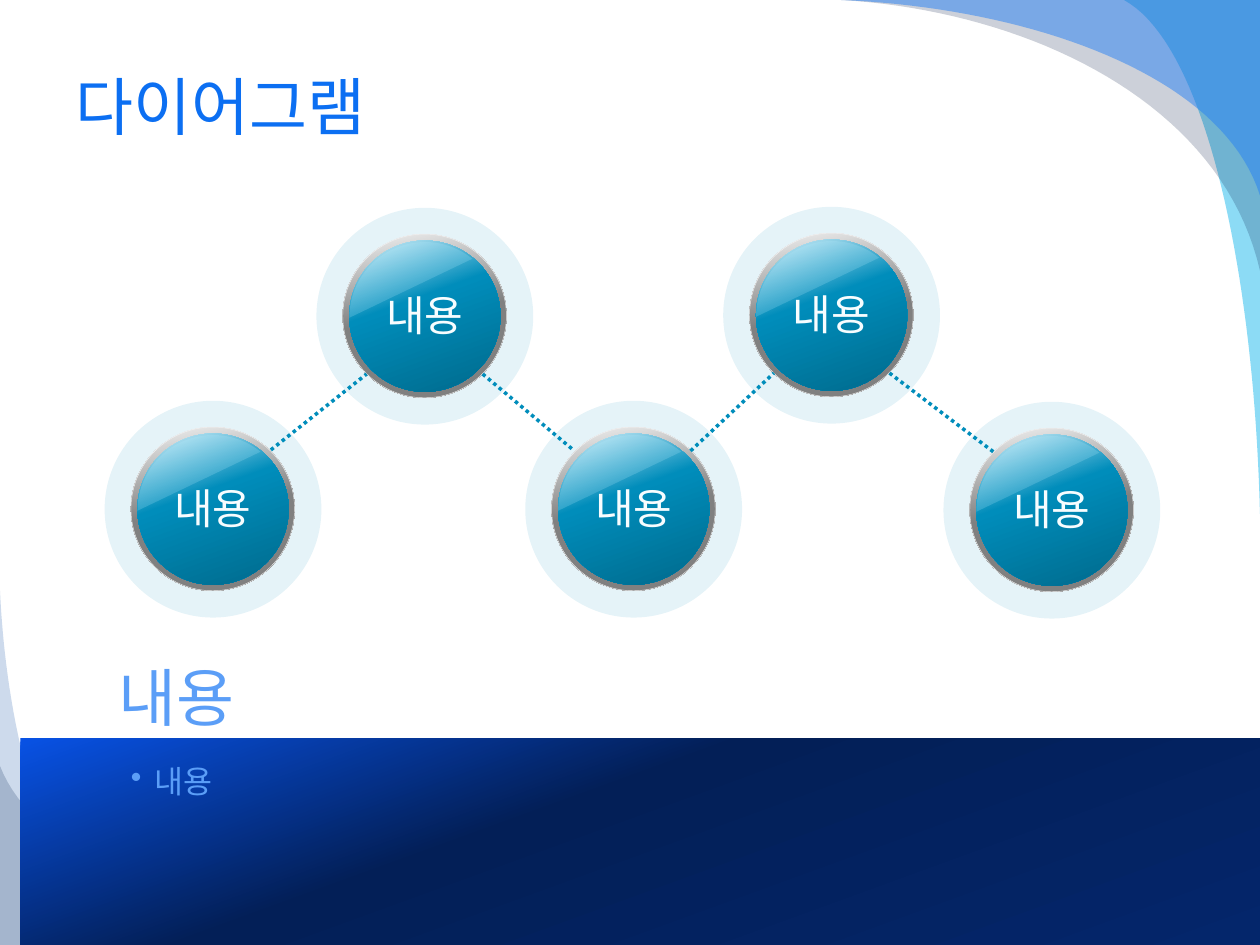
import dataclasses

import pptx
import pptx.dml.color
import pptx.enum.dml
import pptx.enum.shapes
import pptx.enum.text
import pptx.oxml.ns
import pptx.util
import copy
import lxml.etree

Cm = pptx.util.Cm
Preset = pptx.enum.shapes.MSO_SHAPE
Anchor = pptx.enum.text.MSO_ANCHOR
Align = pptx.enum.text.PP_ALIGN
Fit = pptx.enum.text.MSO_AUTO_SIZE
qn = pptx.oxml.ns.qn


@dataclasses.dataclass(frozen=True)
class Theme:
    font: str = "Roboto"
    title_size: int = 36
    label_size: int = 24
    body_size: int = 18
    title: str = "0C6FF2"
    body: str = "5B9EF7"
    label: str = "F7FDFF"
    accent: str = "008DBB"
    gloss: str = "BEEFFF"
    rim: str = "F2F2F2"
    navy: str = "021741"
    cyan: str = "00B1E9"
    azure: str = "247FF4"
    cobalt: str = "084AA1"
    ring_stops: tuple = ((0, "F2F2F2"), (0.5, "808080"), (1, "808080"))
    disc_stops: tuple = ((0, "DFF7FF"), (0.4, "008DBB"), (1, "006A8C"))
    band_stops: tuple = ((0, "0852E5"), (0.4, "031F57"), (1, "04266B"))


def rgb(code):
    return pptx.dml.color.RGBColor.from_string(code)


def assign(target, values):
    for name, value in values.items():
        setattr(target, name, value)


def bezier(start, first, second, end, steps=40):
    for step in range(steps + 1):
        t = step / steps
        weights = ((1 - t) ** 3, 3 * t * (1 - t) ** 2, 3 * t * t * (1 - t), t ** 3)
        yield tuple(sum(w * p[axis] for w, p in zip(weights, (start, first, second, end)))
                    for axis in (0, 1))


class SlideBuilder:
    def __init__(self, page, theme):
        self.page = page
        self.theme = theme

    def paint(self, shape, color, opacity=100):
        shape.shadow.inherit = False
        shape.line.fill.background()
        shape.fill.solid()
        shape.fill.fore_color.rgb = rgb(color)
        if opacity < 100:
            tint = shape._element.spPr.find(qn("a:solidFill")).find(qn("a:srgbClr"))
            lxml.etree.SubElement(tint, qn("a:alpha"), val=str(opacity * 1000))

    def shade(self, shape, stops, angle):
        shape.shadow.inherit = False
        shape.line.fill.background()
        shape.fill.gradient()
        shape.fill.gradient_angle = 360 - angle
        stop_list = shape._element.spPr.find(qn("a:gradFill")).find(qn("a:gsLst"))
        stop_list.append(copy.deepcopy(stop_list[0]))
        for stop, (position, color) in zip(shape.fill.gradient_stops, stops):
            stop.position = position
            stop.color.rgb = rgb(color)

    def preset(self, kind, left, top, width, height):
        return self.page.shapes.add_shape(kind, Cm(left), Cm(top), Cm(width), Cm(height))

    def swoosh(self, left, top, width, height, color, opacity,
               rotation=0, mirror_x=False, mirror_y=False):
        outline = [(0, 0), (1, 0), *bezier((1, 1), (0.91, 0.38), (0.45, 0.04), (0, 0))]
        points = [(Cm(left + width * (1 - x if mirror_x else x)),
                   Cm(top + height * (1 - y if mirror_y else y))) for x, y in outline]
        builder = self.page.shapes.build_freeform(*points[0])
        builder.add_line_segments(points[1:], close=True)
        shape = builder.convert_to_shape()
        shape.rotation = rotation
        self.paint(shape, color, opacity)

    def band(self, left, top, width, height):
        shape = self.preset(Preset.RECTANGLE, left, top, width, height)
        self.shade(shape, self.theme.band_stops, 70)

    def text(self, content, left, top, width, height, size, color,
             frame_format=None, align=None, bullet_indent=None):
        box = self.page.shapes.add_textbox(Cm(left), Cm(top), Cm(width), Cm(height))
        assign(box.text_frame, {"word_wrap": True, **(frame_format or {})})
        para = box.text_frame.paragraphs[0]
        if align is not None:
            para.alignment = align
        if bullet_indent:
            settings = para._p.get_or_add_pPr()
            settings.set("marL", str(Cm(bullet_indent)))
            settings.set("indent", str(-Cm(bullet_indent)))
            lxml.etree.SubElement(settings, qn("a:buChar"), char="•")
        span = para.add_run()
        span.text = content
        assign(span.font, {"name": self.theme.font, "size": pptx.util.Pt(size)})
        span.font.color.rgb = rgb(color)

    def node(self, content, left, top):
        theme = self.theme
        halo = self.preset(Preset.OVAL, left, top, 4.37, 4.37)
        self.paint(halo, theme.accent, 10)
        ring = self.preset(Preset.OVAL, left + 0.53, top + 0.53, 3.3, 3.3)
        self.shade(ring, theme.ring_stops, 80)
        ring.line.color.rgb = rgb(theme.rim)
        ring.line.width = pptx.util.Pt(0.25)
        disc = self.preset(Preset.OVAL, left + 0.66, top + 0.66, 3.05, 3.05)
        self.shade(disc, theme.disc_stops, 70)
        gloss = self.preset(Preset.CHORD, left + 0.66, top + 0.69, 3.05, 3.05)
        gloss.adjustments[0] = 53.95
        gloss.adjustments[1] = 131.3
        gloss.rotation = 90
        self.paint(gloss, theme.gloss, 20)
        self.text(content, left + 0.71, top + 1.53, 2.95, 1.27, theme.label_size, theme.label,
                  {"auto_size": Fit.SHAPE_TO_FIT_TEXT}, Align.CENTER)

    def link(self, *ends):
        line = self.page.shapes.add_connector(
            pptx.enum.shapes.MSO_CONNECTOR.STRAIGHT, *(Cm(end) for end in ends))
        line.line.color.rgb = rgb(self.theme.accent)
        assign(line.line, {"width": pptx.util.Pt(2),
                           "dash_style": pptx.enum.dml.MSO_LINE.ROUND_DOT})
        lxml.etree.SubElement(line._element.spPr, qn("a:effectLst"))


def main():
    deck = pptx.Presentation()
    assign(deck, {"slide_width": Cm(25.4), "slide_height": Cm(19.05)})
    theme = Theme()
    slide = SlideBuilder(deck.slides.add_slide(deck.slide_layouts[6]), theme)

    slide.swoosh(18.85, 3.81, 10.36, 2.74, theme.cyan, 45, rotation=270, mirror_y=True)
    slide.swoosh(16.94, 0, 8.46, 5.46, theme.navy, 20)
    slide.swoosh(16.94, 0, 8.46, 3.94, theme.azure, 49)
    slide.swoosh(0, 15.44, 9.52, 3.61, theme.navy, 20, rotation=180)
    slide.swoosh(-2.31, 13.94, 7.42, 2.82, theme.cobalt, 20, rotation=270, mirror_x=True)

    slide.text("다이어그램", 1.27, 0.84, 22.86, 2.57, theme.title_size, theme.title,
               {"vertical_anchor": Anchor.MIDDLE})
    slide.band(0.41, 14.88, 24.99, 4.17)

    for left, top in ((6.38, 4.19), (2.11, 8.08), (14.58, 4.17), (10.59, 8.08), (19.02, 8.1)):
        slide.node("내용", left, top)
    for ends in ((5.46, 9.07, 7.39, 7.54), (9.73, 7.54, 11.58, 9.09),
                 (13.92, 9.09, 15.6, 7.52), (17.93, 7.52, 20.04, 9.12)):
        slide.link(*ends)

    slide.text("내용", 2.39, 15.24, 20.22, 3.3, theme.body_size, theme.body, bullet_indent=0.48)
    margins = dict.fromkeys(("margin_left", "margin_top", "margin_right", "margin_bottom"), 0)
    slide.text("내용", 2.39, 13.28, 20.62, 1.52, theme.title_size, theme.body,
               {"vertical_anchor": Anchor.BOTTOM, **margins})
    deck.save("out.pptx")


if __name__ == "__main__":
    main()
